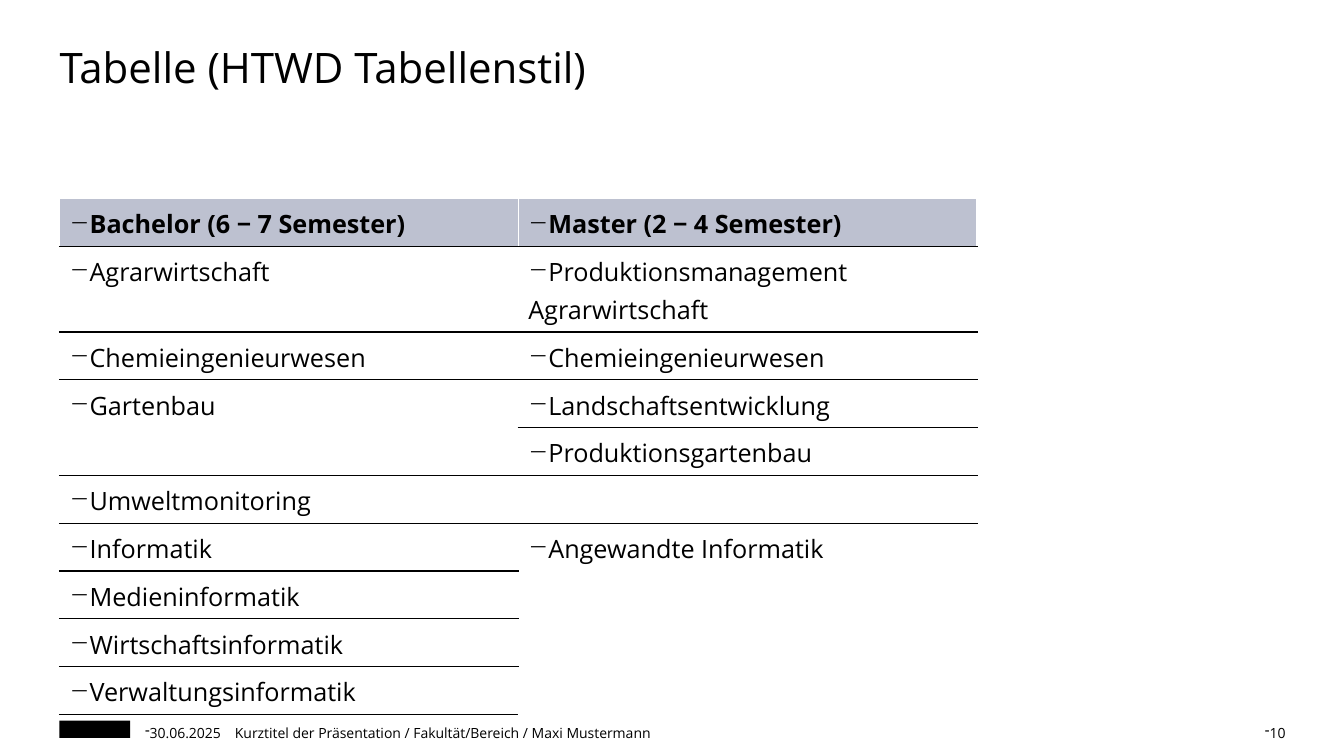
from dataclasses import dataclass

from lxml import etree
from pptx import Presentation
from pptx import util as u
from pptx.dml.color import RGBColor
from pptx.enum import shapes, text
from pptx.oxml import ns


@dataclass(frozen=True)
class Theme:
    font: str = "Open Sans"
    ink: str = "000000"
    header: str = "BDC1D0"
    divider: str = "FFFFFF"
    title_size: int = 30
    table_size: int = 18
    footer_size: int = 10


theme = Theme()
MARGIN = 0.59
CONTENT_WIDTH = 12.16
FOOTER_TOP = 7.15
COLUMN_WIDTH, ROW_HEIGHT = 4.55, 0.41


def write(para, words, size, bullet=None, bold=False, spacing=1.1):
    """Fill a paragraph with one formatted run."""
    if spacing:
        para.line_spacing = spacing
    if bullet:
        props = para._p.get_or_add_pPr()
        props.set("marL", "0")
        props.set("indent", "0")
        etree.SubElement(props, ns.qn("a:buChar")).set("char", bullet)
    span = para.add_run()
    span.text = words
    span.font.name = theme.font
    span.font.size = u.Pt(size)
    span.font.bold = bold
    span.font.color.rgb = RGBColor.from_string(theme.ink)


def add_border(cell, side, color):
    """Draw a one-point line on one side of a cell."""
    line = etree.SubElement(cell._tc.get_or_add_tcPr(), ns.qn(f"a:ln{side}"), w=str(u.Pt(1)))
    fill = etree.SubElement(line, ns.qn("a:solidFill"))
    etree.SubElement(fill, ns.qn("a:srgbClr")).set("val", color)


deck = Presentation()
deck.slide_width, deck.slide_height = u.Inches(13.33), u.Inches(7.5)
page = deck.slides.add_slide(deck.slide_layouts[5])

# Title
title = page.shapes.title
title.left, title.top = u.Inches(MARGIN), u.Inches(0.41)
title.width, title.height = u.Inches(CONTENT_WIDTH), u.Inches(0.98)
frame = title.text_frame
frame.margin_left = frame.margin_right = frame.margin_top = frame.margin_bottom = 0
frame.vertical_anchor = text.MSO_ANCHOR.TOP
frame.word_wrap = True
frame.paragraphs[0].alignment = text.PP_ALIGN.LEFT
write(frame.paragraphs[0], "Tabelle (HTWD Tabellenstil)", theme.title_size, spacing=None)

# Table of degree programmes
programmes = [
    ("Bachelor (6 − 7 Semester)", "Master (2 − 4 Semester)"),
    ("Agrarwirtschaft", "Produktionsmanagement Agrarwirtschaft"),
    ("Chemieingenieurwesen", "Chemieingenieurwesen"),
    ("Gartenbau", "Landschaftsentwicklung"),
    ("", "Produktionsgartenbau"),
    ("Umweltmonitoring", ""),
    ("Informatik", "Angewandte Informatik"),
    ("Medieninformatik", ""),
    ("Wirtschaftsinformatik", ""),
    ("Verwaltungsinformatik", ""),
]
row_count = len(programmes)
table = page.shapes.add_table(
    row_count, 2, u.Inches(MARGIN), u.Inches(1.97),
    u.Inches(2 * COLUMN_WIDTH), u.Inches(row_count * ROW_HEIGHT),
).table
table.horz_banding = False
table.first_row = False
for column in table.columns:
    column.width = u.Inches(COLUMN_WIDTH)
for row in table.rows:
    row.height = u.Inches(ROW_HEIGHT)

# Merged cells: first row, last row, column
for first, last, column in [(3, 4, 0), (6, 9, 1)]:
    table.cell(first, column).merge(table.cell(last, column))

for r, names in enumerate(programmes):
    for c, name in enumerate(names):
        cell = table.cell(r, c)
        if r == 0:
            add_border(cell, "LR"[1 - c], theme.divider)
        if r > 0 and not cell.is_spanned:
            add_border(cell, "T", theme.ink)
        if r == row_count - 1 or not table.cell(r + 1, c).is_spanned:
            add_border(cell, "B", theme.ink)
        if r == 0:
            cell.fill.solid()
            cell.fill.fore_color.rgb = RGBColor.from_string(theme.header)
        else:
            cell.fill.background()
        if name:
            para = cell.text_frame.paragraphs[0]
            para.space_after = u.Pt(10)
            write(para, name, theme.table_size, bullet="−", bold=r == 0)

# Footer mark
mark = page.shapes.add_shape(
    shapes.MSO_SHAPE.RECTANGLE, u.Inches(MARGIN), u.Inches(FOOTER_TOP),
    u.Inches(0.7), u.Inches(0.17),
)
mark.shadow.inherit = False
mark.fill.solid()
mark.fill.fore_color.rgb = RGBColor.from_string(theme.ink)
mark.line.fill.background()

# Footer texts: left, width, words, alignment, bullet
footer = [
    (1.4, 0.83, "30.06.2025", text.PP_ALIGN.CENTER, "-"),
    (2.33, 9.45, "Kurztitel der Präsentation / Fakultät/Bereich / Maxi Mustermann",
     text.PP_ALIGN.LEFT, None),
    (12.16, 0.59, "10", text.PP_ALIGN.RIGHT, "-"),
]
for left, width, words, alignment, bullet in footer:
    box = page.shapes.add_textbox(
        u.Inches(left), u.Inches(FOOTER_TOP), u.Inches(width), u.Inches(0.2))
    frame = box.text_frame
    frame.margin_left = frame.margin_right = frame.margin_top = frame.margin_bottom = 0
    frame.vertical_anchor = text.MSO_ANCHOR.BOTTOM
    frame.word_wrap = True
    frame.paragraphs[0].alignment = alignment
    write(frame.paragraphs[0], words, theme.footer_size, bullet)

deck.save("out.pptx")
